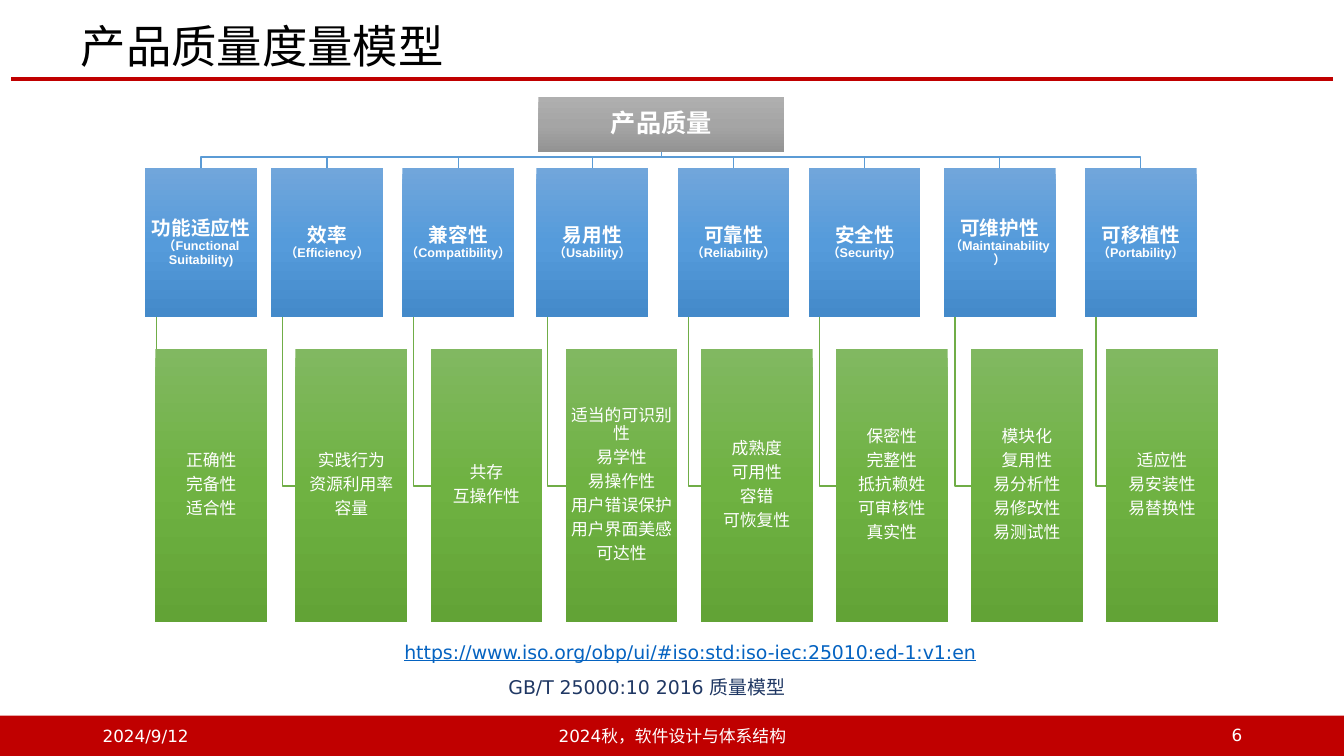
from copy import deepcopy
from dataclasses import dataclass

from pptx import Presentation
from pptx.dml.color import RGBColor
from pptx.enum.shapes import MSO_CONNECTOR as Link, MSO_SHAPE as Kind
from pptx.enum.text import MSO_ANCHOR as Anchor, PP_ALIGN as Align
from pptx.oxml.ns import qn
from pptx.oxml.xmlchemy import OxmlElement as Node
from pptx.util import Inches, Pt

# Grid: ten columns and ten rows to the inch
COLS, ROWS = 133.3, 75
SANS, ARIAL, HAN = "DejaVu Sans", "Arial", "Noto Sans CJK SC"
WHITE, RED = "FFFFFF", "C00000"
GRAY = ("AFAFAF", "A5A5A5", "939393")
BLUE = ("71A6DB", "559BDB", "448ACA")
GREEN = ("81B861", "6FB242", "62A336")

# Rows and columns of the tree
ROOT_X, ROOT_Y, ROOT_W, ROOT_H = 53.4, 9.6, 24.4, 5.5
HEAD_Y, HEAD_H = 16.7, 14.8
LEAF_Y, LEAF_H = 34.6, 27.1
BOX_W, LEAF_STEP = 11.1, 13.4
BUS_Y, ELBOW_Y = 15.6, 48.2
STEM = BOX_W / 10


@dataclass
class Trait:
    name: str
    term: str
    col: float
    facets: list[str]


TRAITS = [
    Trait("功能适应性", "（Functional Suitability)", 14.4, ["正确性", "完备性", "适合性"]),
    Trait("效率", "（Efficiency）", 26.9, ["实践行为", "资源利用率", "容量"]),
    Trait("兼容性", "（Compatibility）", 39.9, ["共存", "互操作性"]),
    Trait("易用性", "（Usability）", 53.2,
          ["适当的可识别性", "易学性", "易操作性", "用户错误保护", "用户界面美感", "可达性"]),
    Trait("可靠性", "（Reliability）", 67.2, ["成熟度", "可用性", "容错", "可恢复性"]),
    Trait("安全性", "（Security）", 80.2,
          ["保密性", "完整性", "抵抗赖姓", "可审核性", "真实性"]),
    Trait("可维护性", "（Maintainability）", 93.6,
          ["模块化", "复用性", "易分析性", "易修改性", "易测试性"]),
    Trait("可移植性", "（Portability）", 107.6, ["适应性", "易安装性", "易替换性"]),
]


@dataclass
class Label:
    text: str
    x: float
    y: float
    w: float
    h: float
    size: float
    color: str
    align: Align = Align.CENTER
    anchor: Anchor = Anchor.MIDDLE
    line: bool = False


LABELS = [
    Label("2024/9/12", 9.2, 71, 30, 4, 12, WHITE, Align.LEFT),
    Label("2024秋，软件设计与体系结构", 44.2, 71, 45, 4, 12, WHITE),
    Label("6", 94.2, 70.9, 30, 4, 12, WHITE, Align.RIGHT),
    Label("https://www.iso.org/obp/ui/#iso:std:iso-iec:25010:ed-1:v1:en",
          31.5, 63.1, 73.9, 3.3, 13.5, "0563C1", anchor=Anchor.TOP, line=True),
    Label("GB/T 25000:10 2016 质量模型", 48.8, 66.5, 30.7, 3.3, 13.5, "203864",
          anchor=Anchor.TOP),
]


def unit(cells: float) -> int:
    return Inches(cells / 10)


def place(*cells: float) -> list[int]:
    return [unit(cell) for cell in cells]


def paint(code: str) -> RGBColor:
    return RGBColor.from_string(code)


def style(run, size: float, color: str, face: str, bold: bool = False) -> None:
    font = run.font
    font.size, font.name, font.bold = Pt(size), face, bold
    font.color.rgb = paint(color)


def shade(shape, tones: tuple[str, ...]) -> None:
    fill = shape.fill
    fill.gradient()
    fill.gradient_angle = 270
    stops = shape._element.spPr.find(qn("a:gradFill")).find(qn("a:gsLst"))
    stops.insert(1, deepcopy(stops[0]))
    for i, (stop, tone) in enumerate(zip(fill.gradient_stops, tones)):
        stop.color.rgb = paint(tone)
        stop.position = i / 2


def block(slide, x: float, y: float, w: float, h: float):
    shape = slide.shapes.add_shape(Kind.RECTANGLE, *place(x, y, w, h))
    shape.shadow.inherit = False
    shape.line.fill.background()
    return shape


def card(slide, cells: tuple[float, ...], tones: tuple[str, ...],
         rows: list[str], size: float, bold: bool = False, term: str = "") -> None:
    shape = block(slide, *cells)
    shade(shape, tones)
    frame = shape.text_frame
    frame.word_wrap = True
    frame.vertical_anchor = Anchor.MIDDLE
    frame.margin_left = frame.margin_right = unit(0.1)
    frame.margin_top = frame.margin_bottom = unit(0.1)
    frame.text = "\n".join(rows)
    for para in frame.paragraphs:
        para.alignment = Align.CENTER
        para.line_spacing = 0.9
        para.space_after = Pt(size * 0.35)
        style(para.runs[0], size, WHITE, ARIAL, bold)
    if term:
        run = frame.paragraphs[0].add_run()
        run.text = term
        style(run, 9, WHITE, ARIAL, bold)


def branch(slide, color: str, *spots: tuple[float, float]) -> None:
    first, *rest = [place(*spot) for spot in spots]
    pen = slide.shapes.build_freeform(*first)
    pen.add_line_segments(rest, close=False)
    shape = pen.convert_to_shape()
    shape.shadow.inherit = False
    shape.fill.background()
    shape.line.color.rgb = paint(color)
    shape.line.width = Pt(1)


def write(slide, label: Label) -> None:
    box = slide.shapes.add_textbox(*place(label.x, label.y, label.w, label.h))
    frame = box.text_frame
    frame.word_wrap = True
    frame.vertical_anchor = label.anchor
    frame.text = label.text
    para = frame.paragraphs[0]
    para.alignment = label.align
    style(para.runs[0], label.size, label.color, SANS)
    para.runs[0].font.underline = label.line


def banner(slide) -> None:
    rule = slide.shapes.add_connector(Link.STRAIGHT, *place(1.1, 7.8, 132.2, 7.8))
    rule.line.color.rgb = paint(RED)
    rule.line.width = Pt(3)
    rule._element.spPr.append(Node("a:effectLst"))
    foot = block(slide, 0, 71, COLS, 4)
    foot.fill.solid()
    foot.fill.fore_color.rgb = paint(RED)
    title = slide.shapes.title
    title.left, title.top, title.width, title.height = place(7, 1.8, 117.1, 6)
    frame = title.text_frame
    frame.text = "产品质量度量模型"
    frame.vertical_anchor = Anchor.MIDDLE
    para = frame.paragraphs[0]
    para.alignment = Align.LEFT
    para.line_spacing = 0.9
    style(para.runs[0], 32.4, "000000", HAN)


def tree(slide) -> None:
    mid = ROOT_X + ROOT_W / 2
    # The first leaf stands slightly left of the even steps
    leaves = [15.4] + [29.3 + LEAF_STEP * i for i in range(len(TRAITS) - 1)]
    # Branches lie behind the boxes
    for trait, leaf in zip(TRAITS, leaves):
        top, stem = trait.col + BOX_W / 2, trait.col + STEM
        branch(slide, "70AD47", (stem, HEAD_Y + HEAD_H), (stem, ELBOW_Y), (leaf, ELBOW_Y))
        branch(slide, "5B9BD5", (mid, ROOT_Y + ROOT_H), (mid, BUS_Y), (top, BUS_Y),
               (top, HEAD_Y))
    # Root, heads and leaves
    card(slide, (ROOT_X, ROOT_Y, ROOT_W, ROOT_H), GRAY, ["产品质量"], 18, True)
    for trait, leaf in zip(TRAITS, leaves):
        card(slide, (trait.col, HEAD_Y, BOX_W, HEAD_H), BLUE, [trait.name], 14, True,
             trait.term)
        card(slide, (leaf, LEAF_Y, BOX_W, LEAF_H), GREEN, trait.facets, 12)


def main() -> None:
    deck = Presentation()
    deck.slide_width, deck.slide_height = place(COLS, ROWS)
    slide = deck.slides.add_slide(deck.slide_layouts[5])
    banner(slide)
    tree(slide)
    for label in LABELS:
        write(slide, label)
    deck.save("out.pptx")


if __name__ == "__main__":
    main()
